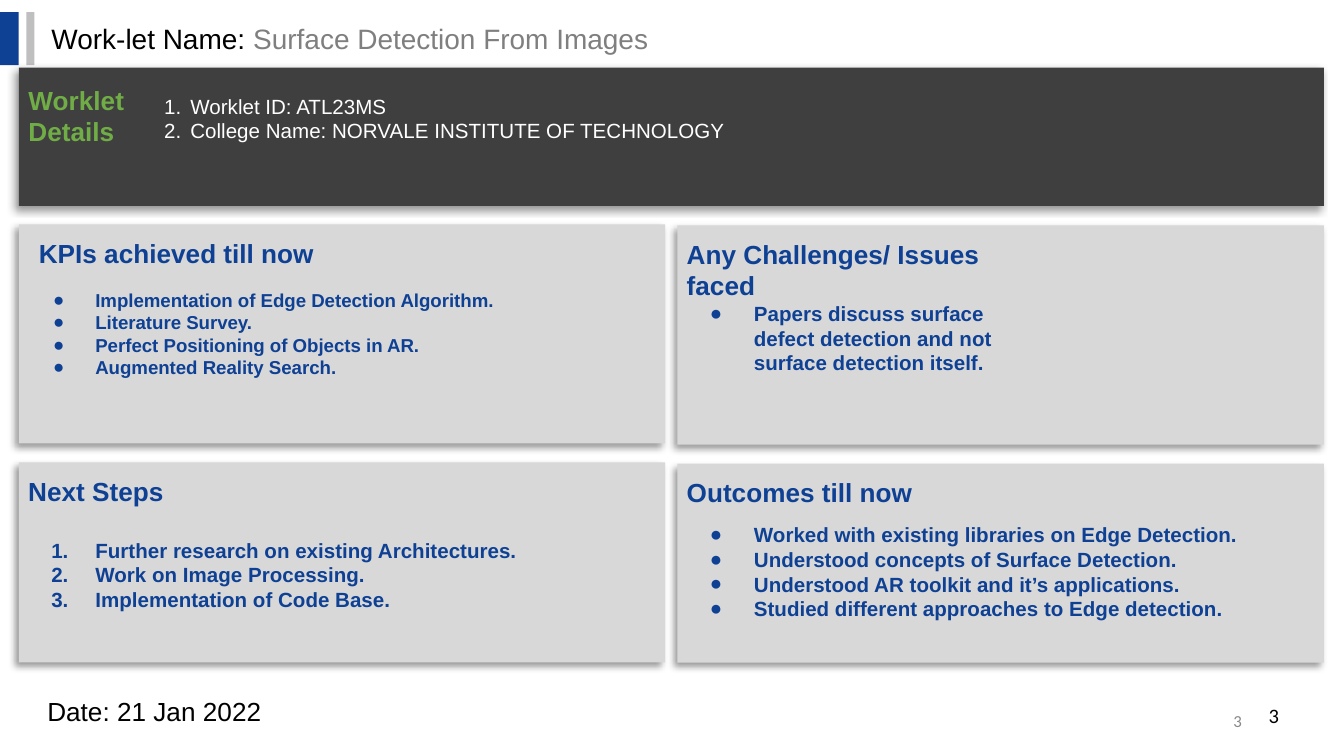
from lxml.etree import SubElement
from pptx import Presentation
from pptx.dml.color import RGBColor
from pptx.enum.shapes import MSO_SHAPE
from pptx.enum.text import MSO_ANCHOR, MSO_AUTO_SIZE, PP_ALIGN
from pptx.oxml.ns import qn
from pptx.util import Pt

# Colours
BLACK = RGBColor(0x00, 0x00, 0x00)
WHITE = RGBColor(0xFF, 0xFF, 0xFF)
BLUE = RGBColor(0x0E, 0x40, 0x94)
GREEN = RGBColor(0x70, 0xAD, 0x47)
DARK = RGBColor(0x3F, 0x3F, 0x3F)
PALE = RGBColor(0xD8, 0xD8, 0xD8)
SILVER = RGBColor(0xBF, 0xBF, 0xBF)
GREY = RGBColor(0x7F, 0x7F, 0x7F)
FAINT = RGBColor(0x88, 0x88, 0x88)

# Content
TITLE = [("Work-let Name: ", BLACK), ("Surface Detection From Images", GREY)]
DETAILS = [
    "Worklet ID: ATL23MS",
    "College Name: NORVALE INSTITUTE OF TECHNOLOGY",
]
DATE = "Date: 21 Jan 2022"
PAGE = "3"
PANELS = [
    dict(head="KPIs achieved till now", box=(10.1, 120.2, 346.3, 117.4),
         shift=5.7, wide=212, top=154.6, size=10, mark="●", lines=[
             "Implementation of Edge Detection Algorithm.",
             "Literature Survey.",
             "Perfect Positioning of Objects in AR.",
             "Augmented Reality Search."]),
    dict(head="Any Challenges/ Issues faced", box=(362.9, 120.8, 346.3, 117.4),
         shift=0, wide=181.4, top=161.2, size=11, mark="●", lines=[
             "Papers discuss surface defect detection and not "
             "surface detection itself."]),
    dict(head="Next Steps", box=(10.1, 247.7, 346.3, 107.2),
         shift=0, wide=346.3, top=288.1, size=11, mark="1.", lines=[
             "Further research on existing Architectures.",
             "Work on Image Processing.",
             "Implementation of Code Base."]),
    dict(head="Outcomes till now", box=(362.9, 248.4, 346.3, 106.6),
         shift=0, wide=346.3, top=279.8, size=11, mark="●", lines=[
             "Worked with existing libraries on Edge Detection.",
             "Understood concepts of Surface Detection.",
             "Understood AR toolkit and it’s applications.",
             "Studied different approaches to Edge detection."]),
]

deck = Presentation()
deck.slide_width, deck.slide_height = Pt(720), Pt(405)
slide = deck.slides.add_slide(deck.slide_layouts.get_by_name("Comparison"))
shapes = slide.shapes


def block(box, fill, shade=False):
    """Draw a plain rectangle, with a soft shadow if asked."""
    shape = shapes.add_shape(MSO_SHAPE.RECTANGLE, *map(Pt, box))
    shape.fill.solid()
    shape.fill.fore_color.rgb = fill
    shape.line.fill.background()
    shape.shadow.inherit = False
    if shade:
        glow = SubElement(
            shape.element.spPr.find(qn("a:effectLst")), qn("a:outerShdw"),
            blurRad=str(Pt(4)), dist=str(Pt(3)), dir=str(135 * 60000),
            algn="tr", rotWithShape="0")
        tint = SubElement(glow, qn("a:srgbClr"), val="000000")
        SubElement(tint, qn("a:alpha"), val="40000")


def place(shape, box, side=5, edge=3, anchor=MSO_ANCHOR.TOP):
    """Move a text shape to the front and set its frame."""
    shapes.element.append(shape.element)
    shape.left, shape.top, shape.width, shape.height = map(Pt, box)
    frame = shape.text_frame
    frame.word_wrap = True
    frame.auto_size = MSO_AUTO_SIZE.NONE
    frame.vertical_anchor = anchor
    frame.margin_left = frame.margin_right = Pt(side)
    frame.margin_top = frame.margin_bottom = Pt(edge)
    return frame


def style(frame, size, color, bold=False, face="Arial", align=PP_ALIGN.LEFT):
    for para in frame.paragraphs:
        para.alignment = align
        para.space_before = para.space_after = Pt(0)
        for run in para.runs:
            font = run.font
            font.name, font.size, font.bold = face, Pt(size), bold
            font.color.rgb = color


def label(text, box, size, color, bold=False, face="Arial",
          align=PP_ALIGN.LEFT, **kind):
    frame = place(shapes.add_textbox(0, 0, 0, 0), box, **kind)
    frame.text = text
    style(frame, size, color, bold, face, align)
    return frame


def bullet(frame, mark, left, hang):
    for para in frame.paragraphs:
        props = para._p.get_or_add_pPr()
        props.set("marL", str(Pt(left)))
        props.set("indent", str(-Pt(hang)))
        SubElement(props, qn("a:buFont"), typeface="Arial")
        if mark == "1.":
            SubElement(props, qn("a:buAutoNum"), type="arabicPeriod")
        else:
            SubElement(props, qn("a:buChar"), char=mark)


title, *bodies = list(slide.placeholders)

# Title bar
block((0, 6.5, 10.1, 28.5), BLUE)
block((14.2, 6.5, 4.3, 28.5), SILVER)
frame = place(title, (22.6, 8.6, 592, 24), anchor=MSO_ANCHOR.MIDDLE)
para = frame.paragraphs[0]
for text, color in TITLE:
    para.add_run().text = text
style(frame, 15, BLACK)
for run, (text, color) in zip(para.runs, TITLE):
    run.font.color.rgb = color

# Details band
block((10.1, 36.2, 699.1, 74.2), DARK, shade=True)
label("Worklet Details", (10.3, 42.2, 98.6, 40), 14, GREEN, bold=True)
frame = label("\n".join(DETAILS), (83, 47.2, 420, 39), 11, WHITE)
bullet(frame, "1.", 14, 14)

# Four panels
for body, panel in zip(bodies, PANELS):
    x, y, wide, high = panel["box"]
    block(panel["box"], PALE, shade=True)
    label(panel["head"], (x + panel["shift"], y + 3.8, panel["wide"], 36),
          14, BLUE, bold=True)
    top, size = panel["top"], panel["size"]
    span = panel["wide"] if len(panel["lines"]) == 1 else wide
    frame = place(body, (x, top, span, y + high - top), edge=0)
    frame.text = "\n".join(panel["lines"])
    style(frame, size, BLUE, bold=True)
    bullet(frame, panel["mark"], 36, 12.6 + size)

# Footer
label(DATE, (22.3, 370, 135.4, 22.3), 14, BLACK,
      side=3, anchor=MSO_ANCHOR.MIDDLE)
label(PAGE, (508.3, 375.1, 162, 21.6), 9, FAINT, face="Calibri",
      align=PP_ALIGN.RIGHT, anchor=MSO_ANCHOR.MIDDLE)
label(PAGE, (672.5, 369.6, 40, 28), 11, BLACK, face="Calibri",
      side=7.2, edge=7.2)

deck.save("out.pptx")
